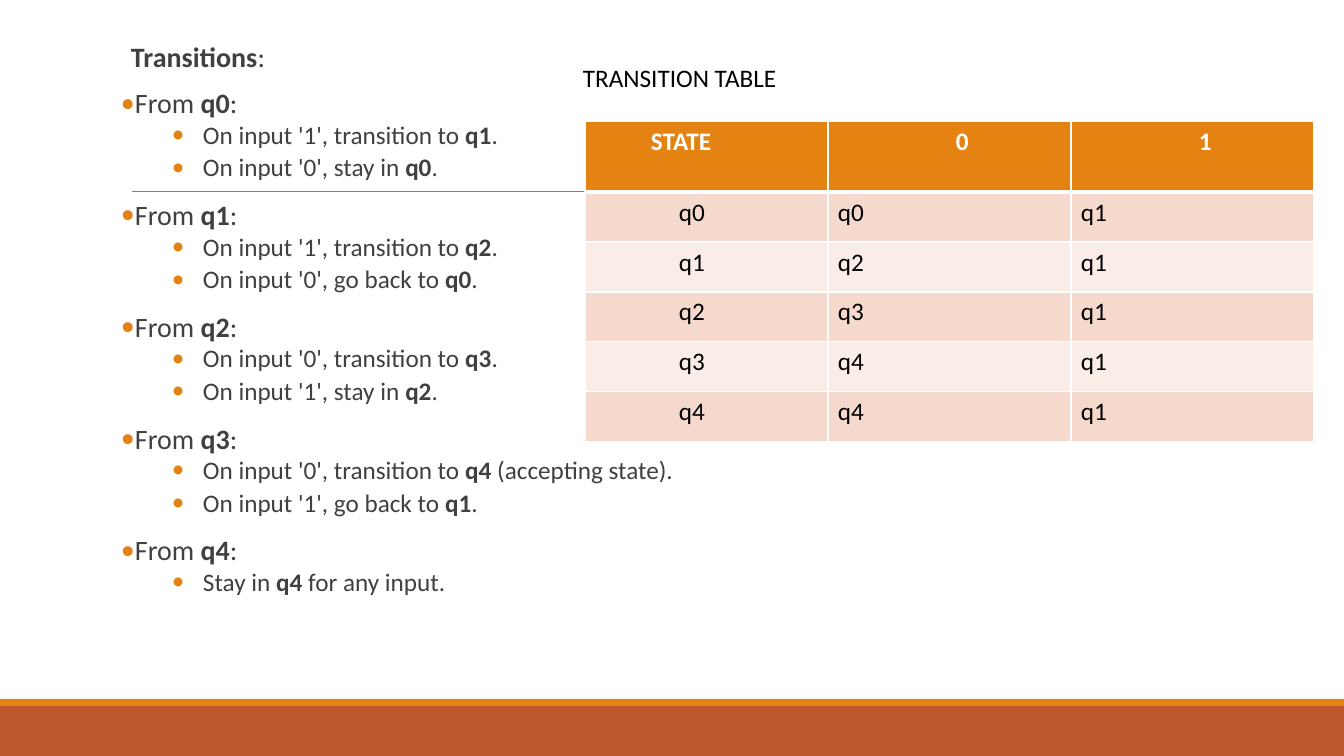
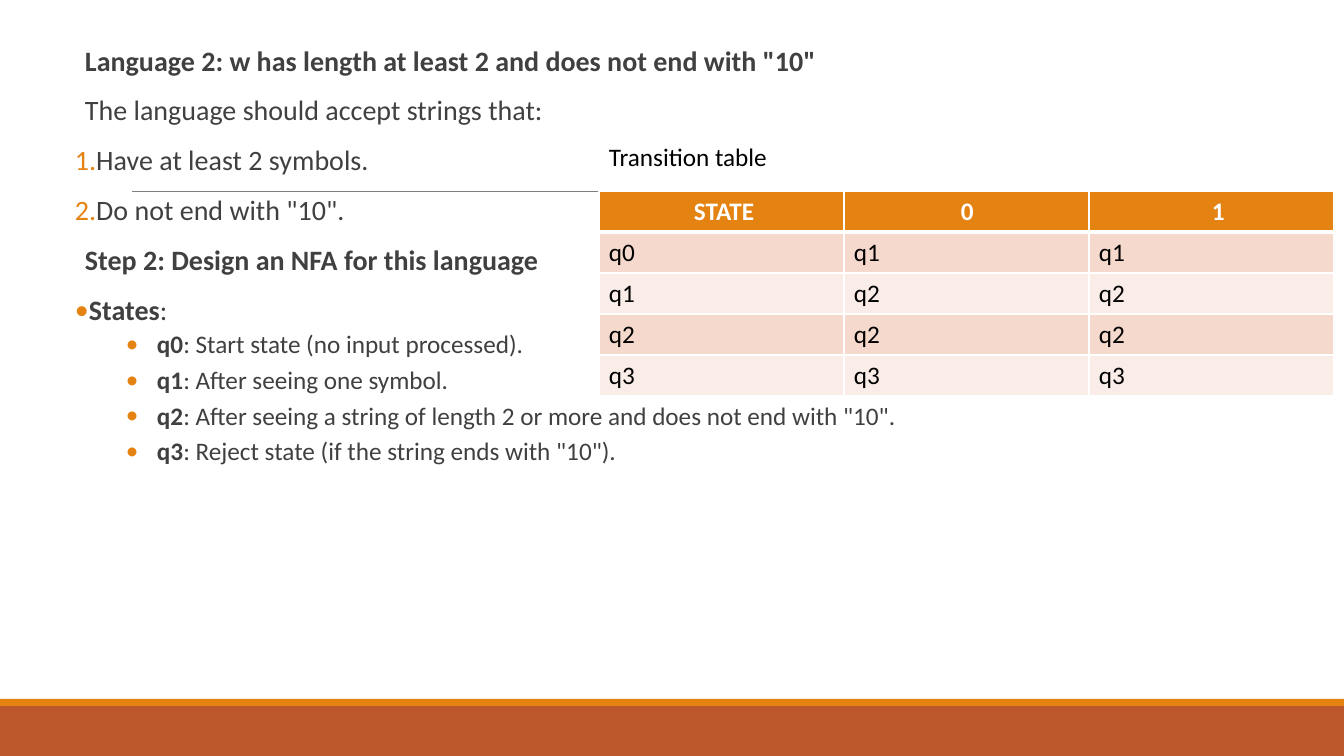
"""Two slides on automata: rules on the left, a transition table on the right."""
from lxml.etree import SubElement as Sub
from pptx import Presentation
from pptx.dml.color import RGBColor as Rgb
from pptx.enum.shapes import MSO_CONNECTOR as Conn, MSO_SHAPE as Shape
from pptx.oxml.ns import qn
from pptx.util import Emu, Pt

PX = 914400 / 100.8
FONT = "Calibri"
WHITE = Rgb(0xFF, 0xFF, 0xFF)
BLACK = Rgb(0, 0, 0)
GREY = Rgb(0x40, 0x40, 0x40)
RULE = Rgb(0x80, 0x80, 0x80)
ORANGE = Rgb(0xE4, 0x83, 0x12)
RUST = Rgb(0xBD, 0x58, 0x2C)
ROSE = Rgb(0xF5, 0xD9, 0xCC)
PALE = Rgb(0xFA, 0xED, 0xE7)

BANDS = [(706, 50, RUST), (699, 7, ORANGE)]
LEVELS = {
    "plain": (20, 12, 2, 10, 0, None),
    "dot": (20, 12, 2, 10, -10, ("a:buChar", "char", "•")),
    "num": (20, 12, 2, 10, -10, ("a:buAutoNum", "type", "arabicPeriod")),
    "sub": (18, 2, 4, 82, -31, ("a:buChar", "char", "•")),
}
SLIDES = [
    {
        "body": (121, 41, 560, 606), "lead": 0.8,
        "lines": [
            ("plain", "*Transitions*:"),
            ("dot", "From *q0*:"),
            ("sub", "On input '1', transition to *q1*."),
            ("sub", "On input '0', stay in *q0*."),
            ("dot", "From *q1*:"),
            ("sub", "On input '1', transition to *q2*."),
            ("sub", "On input '0', go back to *q0*."),
            ("dot", "From *q2*:"),
            ("sub", "On input '0', transition to *q3*."),
            ("sub", "On input '1', stay in *q2*."),
            ("dot", "From *q3*:"),
            ("sub", "On input '0', transition to *q4* (accepting state)."),
            ("sub", "On input '1', go back to *q1*."),
            ("dot", "From *q4*:"),
            ("sub", "Stay in *q4* for any input."),
        ],
        "label": ("TRANSITION TABLE", (573, 57, 270, 40)),
        "place": (585, 121), "wide": 243, "head": 71, "row": 50,
        "pads": [(66, 128, 128), (94, 10, 10)],
        "cells": ["STATE 0 1", "q0 q0 q1", "q1 q2 q1", "q2 q3 q1", "q3 q4 q1", "q4 q4 q1"],
    },
    {
        "body": (75, 42, 1155, 605), "lead": 0.9,
        "lines": [
            ("plain", '*Language 2: w has length at least 2 and does not end with "10"*'),
            ("plain", "The language should accept strings that:"),
            ("num", "Have at least 2 symbols."),
            ("num", 'Do not end with "10".'),
            ("plain", "*Step 2: Design an NFA for this language*"),
            ("dot", "*States*:"),
            ("sub", "*q0*: Start state (no input processed)."),
            ("sub", "*q1*: After seeing one symbol."),
            ("sub", '*q2*: After seeing a string of length 2 or more and does not end with "10".'),
            ("sub", '*q3*: Reject state (if the string ends with "10").'),
        ],
        "label": ("Transition table", (599, 136, 216, 40)),
        "place": (599, 191), "wide": 245, "head": 41, "row": 41,
        "pads": [(95, 117, 123), (10, 10, 10)],
        "cells": ["STATE 0 1", "q0 q1 q1", "q1 q2 q2", "q2 q2 q2", "q3 q3 q3"],
    },
]


def px(*nums):
    return [Emu(round(n * PX)) for n in nums]


def write(para, text, size, color, bold=False):
    run = para.add_run()
    run.text = text
    font = run.font
    font.name, font.size, font.bold = FONT, Pt(size), bold
    font.color.rgb = color


deck = Presentation()
deck.slide_width, deck.slide_height = px(1344, 756)

for data in SLIDES:
    slide = deck.slides.add_slide(deck.slide_layouts[6])
    shapes = slide.shapes

    for top, high, color in BANDS:
        band = shapes.add_shape(Shape.RECTANGLE, *px(0, top, 1344, high))
        band.shadow.inherit = False
        band.fill.solid()
        band.fill.fore_color.rgb = color
        band.line.fill.background()
    rule = shapes.add_connector(Conn.STRAIGHT, *px(132, 191, 1231, 191))
    rule.line.color.rgb = RULE
    rule.line.width = Pt(0.5)
    Sub(rule.element.spPr, qn("a:effectLst"))

    frame = shapes.add_textbox(*px(*data["body"])).text_frame
    frame.word_wrap = True
    frame.margin_left = frame.margin_right = 0
    for i, (kind, text) in enumerate(data["lines"]):
        size, above, below, left, hang, mark = LEVELS[kind]
        para = frame.add_paragraph() if i else frame.paragraphs[0]
        para.level = int(kind == "sub")
        para.line_spacing = data["lead"]
        para.space_before, para.space_after = Pt(above), Pt(below)
        props = para._p.get_or_add_pPr()
        for key, size_px in (("marL", left), ("indent", hang)):
            props.set(key, str(px(size_px)[0]))
        if mark:
            tag, key, val = mark
            Sub(Sub(props, qn("a:buClr")), qn("a:srgbClr"), val=str(ORANGE))
            Sub(props, qn("a:buFont"), typeface=FONT)
            Sub(props, qn(tag)).set(key, val)
        for j, part in enumerate(text.split("*")):
            if part:
                write(para, part, size, GREY, j % 2 == 1)

    rows = [line.split() for line in data["cells"]]
    wide, head, high = data["wide"], data["head"], data["row"]
    total = head + high * (len(rows) - 1)
    table = shapes.add_table(len(rows), 3, *px(*data["place"], wide * 3, total)).table
    for col in table.columns:
        col.width = px(wide)[0]
    for r, row in enumerate(rows):
        table.rows[r].height = px(high if r else head)[0]
        fill = (PALE, ROSE)[r % 2] if r else ORANGE
        for c, text in enumerate(row):
            cell = table.cell(r, c)
            cell.margin_left = px(data["pads"][min(r, 1)][c])[0]
            props = cell._tc.get_or_add_tcPr()
            for side in "LRTB":
                thick = (r == 0 and side == "B") or (r == 1 and side == "T")
                edge = Sub(props, qn("a:ln" + side), w=str(Pt(3 if thick else 1)))
                Sub(Sub(edge, qn("a:solidFill")), qn("a:srgbClr"), val=str(WHITE))
            cell.fill.solid()
            cell.fill.fore_color.rgb = fill
            write(cell.text_frame.paragraphs[0], text, 18, BLACK if r else WHITE, r == 0)

    text, spot = data["label"]
    label = shapes.add_textbox(*px(*spot)).text_frame
    label.word_wrap = True
    write(label.paragraphs[0], text, 18, BLACK)

deck.save("out.pptx")
